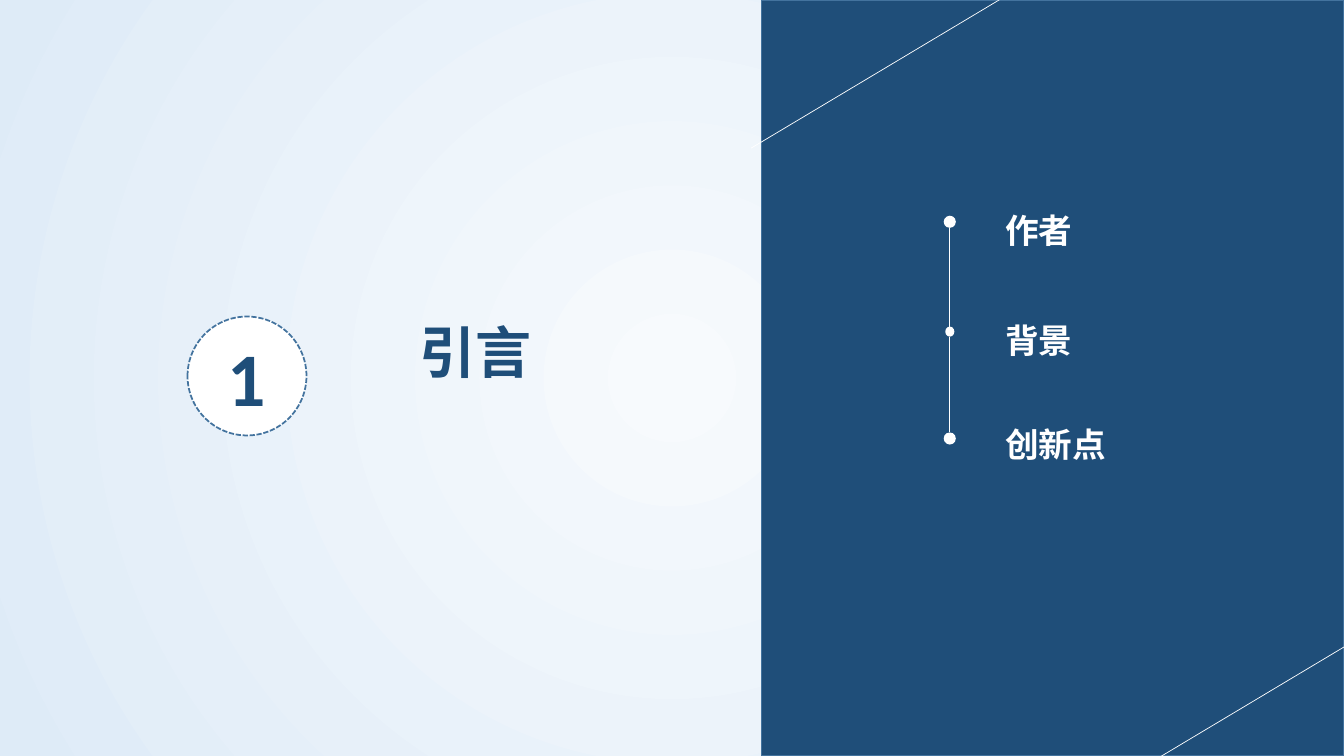
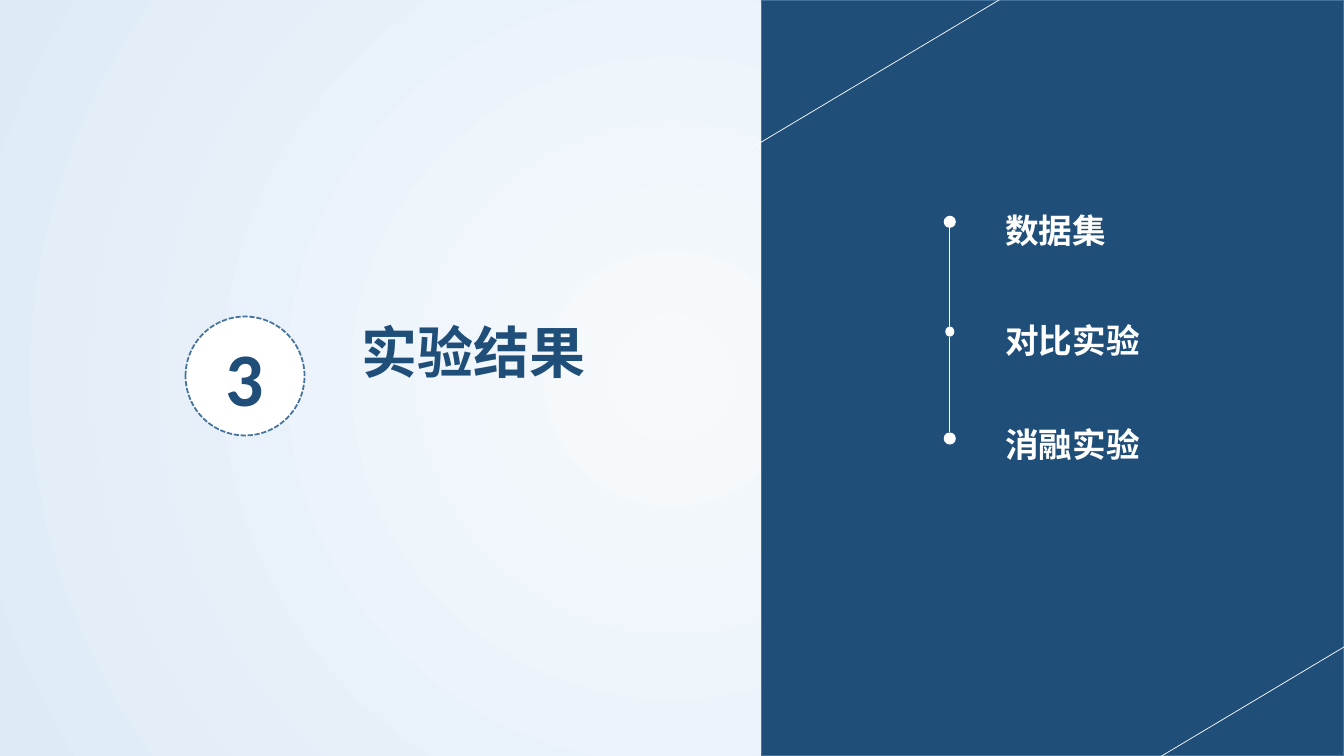
from lxml import etree
from pptx import Presentation
from pptx.dml.color import RGBColor
from pptx.enum.dml import MSO_LINE
from pptx.enum.shapes import MSO_CONNECTOR, MSO_SHAPE
from pptx.enum.text import MSO_ANCHOR, MSO_AUTO_SIZE, PP_ALIGN
from pptx.oxml import parse_xml
from pptx.oxml.ns import nsdecls, qn
from pptx.util import Inches, Pt

SECTIONS = [
    {"number": "1", "title": "引言", "badge_left": 1.86,
     "topics": ["作者", "背景", "创新点"]},
    {"number": "3", "title": "实验结果", "badge_left": 1.84,
     "topics": ["数据集", "对比实验", "消融实验"]},
]

COLORS = {"navy": "1F4E79", "edge": "43739E", "white": "FFFFFF",
          "glow": "F7FAFD", "sky": "DEEBF7"}
HAN_FONT, DIGIT_FONT = "Noto Sans CJK SC", "Calibri"

WIDTH, HEIGHT = 13.33, 7.5
PANEL_LEFT = 7.55
BADGE_TOP, BADGE_SIZE = 3.14, 1.18
TITLE_OFFSET, TITLE_TOP, TITLE_SIZE = 1.29, 3.1, (3.13, 0.77)
STRIPE_STARTS, STRIPE_RUN = [(10.36, -0.27), (13.98, 6.03)], (-2.91, 1.74)
TOPIC_LEFT, TOPIC_WIDTH, TOPIC_TOPS = 9.87, 1.96, [1.95, 3.04, 4.07]
TOPIC_LINE = 35  # points
AXIS = 9.42
DOTS = [(2.2, 0.12, 0.12), (3.29, 0.09, 0.1), (4.35, 0.12, 0.12)]  # middle, width, height


def rgb(name):
    return RGBColor.from_string(COLORS[name])


def style_text(paragraph, size, color, face):
    font = paragraph.font
    font.size, font.bold, font.name = Pt(size), True, face
    font.color.rgb = rgb(color)
    latin = paragraph._p.pPr.find(qn("a:defRPr")).find(qn("a:latin"))
    east_asian = etree.Element(qn("a:ea"), typeface=face)
    latin.addnext(east_asian)


def place(shape, left, top, width, height):
    shape.left, shape.top = Inches(left), Inches(top)
    shape.width, shape.height = Inches(width), Inches(height)


def add_filled(slide, kind, box, fill, edge_width=None):
    shape = slide.shapes.add_shape(kind, *map(Inches, box))
    shape.shadow.inherit = False
    shape.fill.solid()
    shape.fill.fore_color.rgb = rgb(fill)
    if edge_width:
        shape.line.color.rgb = rgb("edge")
        shape.line.width = Pt(edge_width)
    else:
        shape.line.fill.background()
    return shape


def add_line(slide, start, end, width):
    line = slide.shapes.add_connector(
        MSO_CONNECTOR.STRAIGHT, *map(Inches, (*start, *end)))
    line.line.color.rgb = rgb("white")
    line.line.width = Pt(width)
    etree.SubElement(line._element.spPr, qn("a:effectLst"))


def set_background(master):
    """Give the master a radial glow from the centre of the slide."""
    master.background.fill.solid()
    properties = next(master.element.iter(qn("p:bgPr")))
    glow = parse_xml(
        f'<a:gradFill {nsdecls("a")} rotWithShape="1"><a:gsLst>'
        f'<a:gs pos="0"><a:srgbClr val="{COLORS["glow"]}"/></a:gs>'
        f'<a:gs pos="100000"><a:srgbClr val="{COLORS["sky"]}"/></a:gs>'
        '</a:gsLst><a:path path="circle">'
        '<a:fillToRect l="50000" t="50000" r="50000" b="50000"/>'
        '</a:path></a:gradFill>')
    properties.replace(properties[0], glow)


def add_panel(slide):
    panel = add_filled(slide, MSO_SHAPE.RECTANGLE,
                       (PANEL_LEFT, 0, WIDTH - PANEL_LEFT, HEIGHT), "navy", 1)
    slide.shapes._spTree.insert(2, panel._element)  # behind the placeholders
    for x, y in STRIPE_STARTS:
        add_line(slide, (x, y), (x + STRIPE_RUN[0], y + STRIPE_RUN[1]), 0.5)


def add_badge(slide, number, left):
    badge = add_filled(slide, MSO_SHAPE.OVAL,
                       (left, BADGE_TOP, BADGE_SIZE, BADGE_SIZE), "white", 1.25)
    badge.line.dash_style = MSO_LINE.SQUARE_DOT
    badge.text_frame.text = number
    badge.text_frame.vertical_anchor = MSO_ANCHOR.MIDDLE
    digit = badge.text_frame.paragraphs[0]
    digit.alignment = PP_ALIGN.CENTER
    style_text(digit, 54, "navy", DIGIT_FONT)


def fill_title(title, text, left):
    place(title, left, TITLE_TOP, *TITLE_SIZE)
    frame = title.text_frame
    frame.text = text
    frame.vertical_anchor = MSO_ANCHOR.TOP
    frame.auto_size = MSO_AUTO_SIZE.NONE
    frame.paragraphs[0].alignment = PP_ALIGN.CENTER
    style_text(frame.paragraphs[0], 40, "navy", HAN_FONT)


def fill_topics(body, topics):
    place(body, TOPIC_LEFT, TOPIC_TOPS[0], TOPIC_WIDTH,
          TOPIC_TOPS[-1] - TOPIC_TOPS[0] + 0.6)
    frame = body.text_frame
    frame.text = "\n".join(topics)
    frame.vertical_anchor = MSO_ANCHOR.TOP
    frame.auto_size = MSO_AUTO_SIZE.NONE
    gaps = [0] + [(low - high) * 72 - TOPIC_LINE
                  for high, low in zip(TOPIC_TOPS, TOPIC_TOPS[1:])]
    for paragraph, gap in zip(frame.paragraphs, gaps):
        properties = paragraph._p.get_or_add_pPr()
        properties.set("marL", "0")
        properties.set("indent", "0")
        etree.SubElement(properties, qn("a:buNone"))
        paragraph.line_spacing = Pt(TOPIC_LINE)
        paragraph.space_before = Pt(gap)
        style_text(paragraph, 24, "white", HAN_FONT)


def add_timeline(slide):
    for middle, width, height in DOTS:
        add_filled(slide, MSO_SHAPE.OVAL,
                   (AXIS - width / 2, middle - height / 2, width, height), "white")
    for (upper, _, upper_height), (lower, _, lower_height) in zip(DOTS, DOTS[1:]):
        add_line(slide, (AXIS, upper + upper_height / 2),
                 (AXIS, lower - lower_height / 2), 1)


def main():
    prs = Presentation()
    prs.slide_width, prs.slide_height = Inches(WIDTH), Inches(HEIGHT)
    set_background(prs.slide_master)
    for section in SECTIONS:
        slide = prs.slides.add_slide(prs.slide_layouts[1])
        left = section["badge_left"]
        add_panel(slide)
        add_badge(slide, section["number"], left)
        fill_title(slide.shapes.title, section["title"], left + TITLE_OFFSET)
        fill_topics(slide.placeholders[1], section["topics"])
        add_timeline(slide)
    prs.save("out.pptx")


if __name__ == "__main__":
    main()
